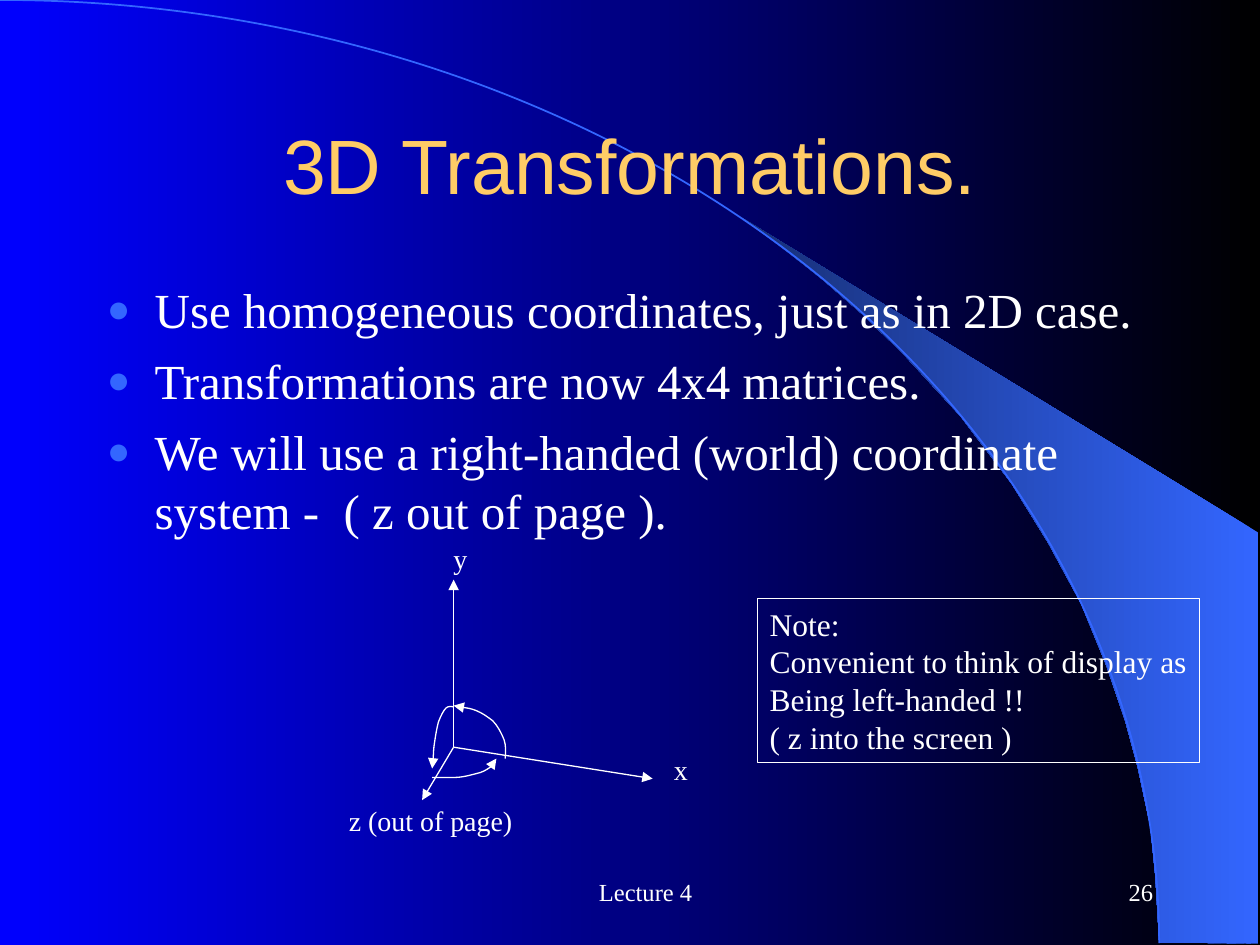
"""Build the 3D Transformations slide with its axes diagram."""
import pptx
import pptx.dml.color
import pptx.enum.shapes
import pptx.enum.text
import pptx.oxml
import pptx.oxml.ns
import pptx.util

Inches = pptx.util.Inches
Pt = pptx.util.Pt
ALIGN = pptx.enum.text.PP_ALIGN
ANCHOR = pptx.enum.text.MSO_ANCHOR
SHAPE = pptx.enum.shapes.MSO_SHAPE
SERIF = "Times New Roman"
COLORS = {"black": "000000", "blue": "0000FF", "azure": "3366FF",
          "navy": "172F75", "gold": "FFCC66", "white": "FFFFFF"}
WEDGE = [(9.2, 7.48), (9.99, 7.49), (9.99, 4.23), (5.89, 1.73), (6.24, 1.99),
         (6.53, 2.22), (6.85, 2.5), (7.16, 2.8), (7.62, 3.3), (8.03, 3.84),
         (8.32, 4.31), (8.58, 4.79), (8.78, 5.28), (8.93, 5.72), (9.03, 6.09),
         (9.13, 6.56), (9.17, 6.96), (9.2, 7.48)]
ORIGIN = (3.6, 5.93)
TIPS = [(3.6, 4.6), (5.18, 6.18), (3.35, 6.35)]
TURNS = [
    [(4.01, 6.02), (4.01, 5.99), (4.02, 5.92), (4, 5.87), (3.98, 5.82),
     (3.95, 5.76), (3.91, 5.72), (3.87, 5.69), (3.83, 5.66), (3.78, 5.64),
     (3.73, 5.62), (3.64, 5.61), (3.6, 5.6)],
    [(3.6, 5.61), (3.59, 5.61), (3.56, 5.6), (3.54, 5.62), (3.52, 5.64),
     (3.5, 5.68), (3.48, 5.73), (3.47, 5.77), (3.46, 5.82), (3.45, 5.89),
     (3.44, 5.95), (3.44, 6.05), (3.43, 6.1)],
    [(3.43, 6.17), (3.46, 6.17), (3.55, 6.17), (3.61, 6.17), (3.67, 6.17),
     (3.74, 6.15), (3.78, 6.14), (3.83, 6.13), (3.86, 6.11), (3.89, 6.09),
     (3.91, 6.07), (3.93, 6.04), (3.94, 6.02)],
]
LABELS = [("z (out of page)", (2.67, 6.33, 1.5, 0.37)),
          ("y", (3.5, 4.25, 0.31, 0.37)), ("x", (5.25, 5.92, 0.31, 0.37))]
POINTS = ["Use homogeneous coordinates, just as in 2D case.",
          "Transformations are now 4x4 matrices.",
          "We will use a right-handed (world) coordinate system -  ( z out of page )."]
NOTE = ["Note:", "Convenient to think of display as", "Being left-handed !!",
        "( z into the screen )"]


def rgb(name):
    return pptx.dml.color.RGBColor.from_string(COLORS[name])


def add_xml(parent, tag, **attrs):
    node = pptx.oxml.parse_xml(f"<a:{tag} {pptx.oxml.ns.nsdecls('a')}/>")
    for key, value in attrs.items():
        node.set(key, value)
    parent.append(node)
    return node


def blend(fill, *names):
    fill.gradient()
    fill.gradient_angle = 180
    for stop, name, place in zip(fill.gradient_stops, names, (0, 1)):
        stop.color.rgb = rgb(name)
        stop.position = place


def stroke(shape, color="white", width=0.75, arrow=False):
    shape.line.color.rgb = rgb(color)
    shape.line.width = Pt(width)
    if arrow:
        ln = shape._element.spPr.find(pptx.oxml.ns.qn("a:ln"))
        add_xml(ln, "tailEnd", type="triangle")


def outline(slide, points):
    spots = [(Inches(x), Inches(y)) for x, y in points]
    pen = slide.shapes.build_freeform(*spots[0])
    pen.add_line_segments(spots[1:], close=False)
    shape = pen.convert_to_shape()
    shape.shadow.inherit = False
    shape.fill.background()
    return shape


def turn(slide, knots):
    """Draw a curved arrow, each three knots after the first being one Bezier."""
    shape = outline(slide, knots)
    route = shape._element.spPr.find(".//" + pptx.oxml.ns.qn("a:path"))
    legs = route.findall(pptx.oxml.ns.qn("a:lnTo"))
    for i in range(0, len(legs), 3):
        bend = add_xml(route, "cubicBezTo")
        for leg in legs[i:i + 3]:
            bend.append(leg[0])
            route.remove(leg)
    stroke(shape, arrow=True)


def axis(slide, tip):
    line = slide.shapes.add_connector(pptx.enum.shapes.MSO_CONNECTOR.STRAIGHT,
                                      *(Inches(v) for v in ORIGIN + tip))
    stroke(line, arrow=True)
    add_xml(line._element.spPr, "effectLst")


def preset(slide, kind, area, color, width):
    shape = slide.shapes.add_shape(kind, *(Inches(v) for v in area))
    shape.shadow.inherit = False
    shape.fill.background()
    stroke(shape, color, width)
    return shape


def write(shape, lines, size, color="white", font=SERIF, align=ALIGN.LEFT,
          anchor=ANCHOR.TOP, wrap=True):
    frame = shape.text_frame
    frame.word_wrap = wrap
    frame.vertical_anchor = anchor
    kind = pptx.enum.text.MSO_AUTO_SIZE
    frame.auto_size = kind.NONE if wrap else kind.SHAPE_TO_FIT_TEXT
    for i, line in enumerate(lines):
        para = frame.add_paragraph() if i else frame.paragraphs[0]
        para.alignment = align
        run = para.add_run()
        run.text = line
        run.font.size = Pt(size)
        run.font.name = font
        run.font.color.rgb = rgb(color)
    return frame.paragraphs


def text(slide, area, lines, size, **style):
    box = slide.shapes.add_textbox(*(Inches(v) for v in area))
    return write(box, lines, size, **style)


def indent(para, left, first=0):
    props = para._p.get_or_add_pPr()
    props.set("marL", str(Inches(left)))
    props.set("indent", str(Inches(first)))
    return props


def bullet(para):
    para.space_before = Pt(7)
    props = indent(para, 0.38, -0.38)
    add_xml(add_xml(props, "buClr"), "srgbClr", val=COLORS["azure"])
    add_xml(props, "buSzPct", val="80000")
    add_xml(props, "buFont", typeface=SERIF)
    add_xml(props, "buChar", char="●")


def decor(slide):
    blend(slide.background.fill, "black", "blue")
    wedge = outline(slide, WEDGE)
    blend(wedge.fill, "azure", "navy")
    wedge.line.fill.background()
    preset(slide, SHAPE.ARC, (-9.2, 0, 18.4, 14.97), "azure", 1)


def main():
    deck = pptx.Presentation()
    deck.slide_width, deck.slide_height = Inches(10), Inches(7.5)
    slide = deck.slides.add_slide(deck.slide_layouts[6])
    decor(slide)
    text(slide, (0.75, 0.67, 8.5, 1.25), ["3D Transformations."], 44, color="gold",
         font="Arial", align=ALIGN.CENTER, anchor=ANCHOR.MIDDLE)
    for para in text(slide, (0.75, 2.17, 8.5, 2.59), POINTS, 28):
        bullet(para)
    for tip in TIPS:
        axis(slide, tip)
    for label, area in LABELS:
        text(slide, area, [label], 16, wrap=False)
    note = preset(slide, SHAPE.RECTANGLE, (6.01, 4.75, 3.51, 1.3), "white", 0.75)
    write(note, NOTE, 18, wrap=False)
    for knots in TURNS:
        turn(slide, knots)
    for line, left, width, align in (("Lecture 4", 3.42, 3.17, ALIGN.CENTER),
                                     ("26", 7.17, 2.08, ALIGN.RIGHT)):
        paras = text(slide, (left, 6.83, width, 0.5), [line], 14, align=align,
                     anchor=ANCHOR.MIDDLE)
        indent(paras[0], 0.24)
    deck.save("out.pptx")


if __name__ == "__main__":
    main()
